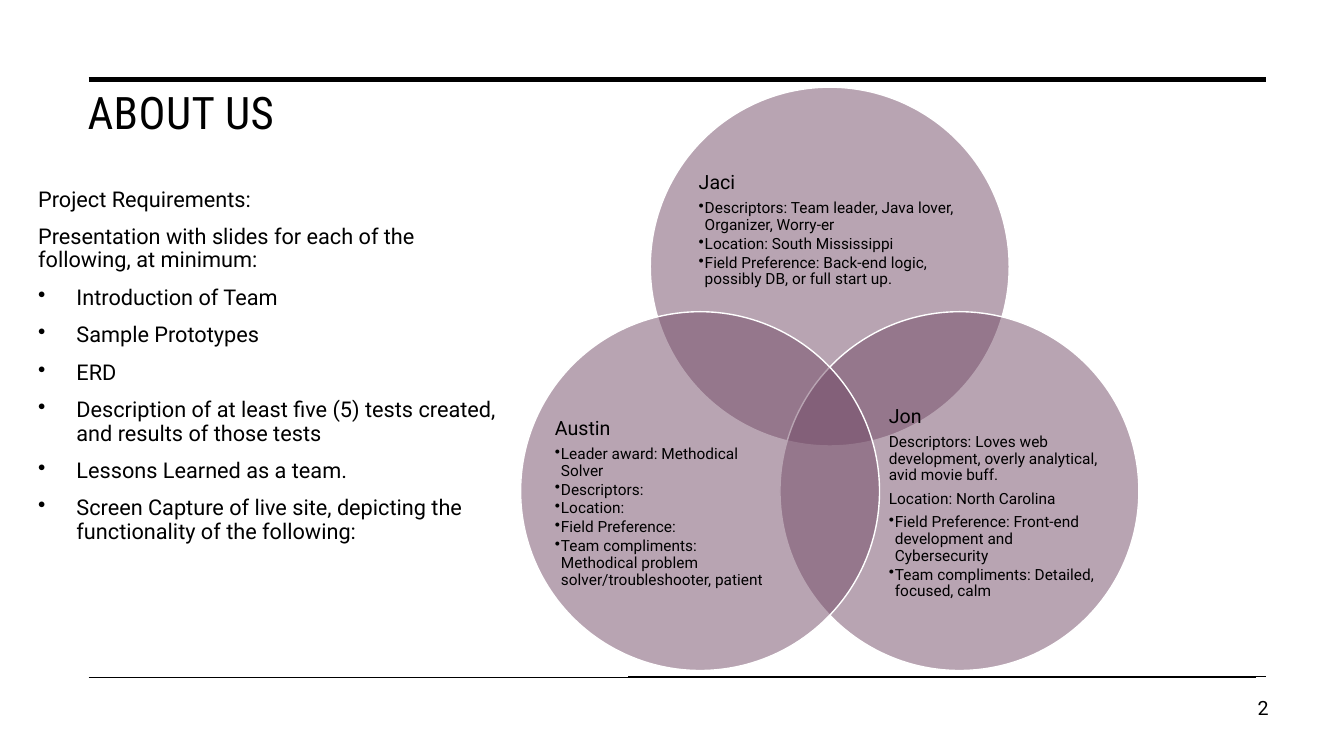
import math

from lxml import etree
from pptx import Presentation
from pptx import util as u
from pptx.dml.color import RGBColor
from pptx.enum import shapes, text
from pptx.oxml.ns import qn

BLACK, WHITE, PLUM = "000000", "FFFFFF", "734B67"
BODY_FONT, TITLE_FONT = "Roboto", "Roboto Condensed"
RULES = [  # left, right, y, weight
    (0.88, 12.46, 0.79, 3.5),
    (0.88, 12.46, 6.72, 1),
    (6.23, 12.56, 0.79, 3.5),
    (6.23, 12.56, 6.71, 1),
]
INTRO = [
    "Project Requirements:",
    "Presentation with slides for each of the following, at minimum:",
]
REQUIREMENTS = [
    "Introduction of Team",
    "Sample Prototypes",
    "ERD",
    "Description of at least five (5) tests created, and results of those tests",
    "Lessons Learned as a team.",
    "Screen Capture of live site, depicting the functionality of the following:",
]
VENN_X, VENN_Y, VENN_REACH, DIAMETER = 8.23, 4.13, 1.485, 3.56
# angle, text box relative to the circle's centre, name, plain lines, bullets
MEMBERS = [
    (-90, (-1.3, -1.16, 2.61, 1.6), "Jaci", [], [
        "Descriptors: Team leader, Java lover, Organizer, Worry-er",
        "Location: South Mississippi",
        "Field Preference: Back-end logic, possibly DB, or full start up.",
    ]),
    (30, (-0.7, -0.86, 2.13, 1.96), "Jon", [
        "Descriptors: Loves web development, overly analytical, avid movie buff.",
        "Location: North Carolina",
    ], [
        "Field Preference: Front-end development and Cybersecurity",
        "Team compliments: Detailed, focused, calm",
    ]),
    (150, (-1.44, -0.86, 2.13, 1.96), "Austin", [], [
        "Leader award: Methodical Solver",
        "Descriptors:",
        "Location:",
        "Field Preference:",
        "Team compliments: Methodical problem solver/troubleshooter, patient",
    ]),
]


def color(value):
    return RGBColor.from_string(value)


def add_rule(page, left, right, y, weight):
    rule = page.shapes.add_connector(
        shapes.MSO_CONNECTOR.STRAIGHT,
        u.Inches(left), u.Inches(y), u.Inches(right), u.Inches(y))
    rule.line.color.rgb = color(BLACK)
    rule.line.width = u.Pt(weight)
    etree.SubElement(rule._element.spPr, qn("a:effectLst"))


def add_text_frame(page, left, top, width, height):
    box = page.shapes.add_textbox(*map(u.Inches, (left, top, width, height)))
    box.text_frame.word_wrap = True
    return box.text_frame


def add_para(frame, words, size, font=BODY_FONT, before=0, after=0,
             line_spacing=1.0, bullet_indent=0):
    """Fill the frame's empty first paragraph, or add another below."""
    para = frame.paragraphs[0] if not frame.text else frame.add_paragraph()
    para.text = words
    para.line_spacing = line_spacing
    para.space_before, para.space_after = u.Pt(before), u.Pt(after)
    if bullet_indent:
        props = para._p.get_or_add_pPr()
        props.set("marL", str(u.Inches(bullet_indent)))
        props.set("indent", str(-u.Inches(bullet_indent)))
        etree.SubElement(props, qn("a:buChar"), char="•")
    para.font.name, para.font.size = font, u.Pt(size)
    para.font.color.rgb = color(BLACK)
    return para


def add_circle(page, x, y):
    circle = page.shapes.add_shape(
        shapes.MSO_SHAPE.OVAL,
        u.Inches(x - DIAMETER / 2), u.Inches(y - DIAMETER / 2),
        u.Inches(DIAMETER), u.Inches(DIAMETER))
    circle.shadow.inherit = False
    circle.fill.solid()
    circle.fill.fore_color.rgb = color(PLUM)
    tint = circle._element.spPr.find(qn("a:solidFill"))[0]
    etree.SubElement(tint, qn("a:alpha"), val="50000")
    circle.line.color.rgb = color(WHITE)
    circle.line.width = u.Pt(1)


def add_member(page, angle, offset, name, plain_lines, bullets):
    x = VENN_X + VENN_REACH * math.cos(math.radians(angle))
    y = VENN_Y + VENN_REACH * math.sin(math.radians(angle))
    add_circle(page, x, y)
    dx, dy, width, height = offset
    frame = add_text_frame(page, x + dx, y + dy, width, height)
    frame.margin_left = frame.margin_right = 0
    frame.margin_top = frame.margin_bottom = 0
    frame.vertical_anchor = text.MSO_ANCHOR.MIDDLE
    add_para(frame, name, 14, after=4.9, line_spacing=0.9)
    for line in plain_lines:
        add_para(frame, line, 11, after=4.9, line_spacing=0.9)
    for line in bullets:
        add_para(frame, line, 11, after=1.65, line_spacing=0.9,
                 bullet_indent=0.06)


def main():
    deck = Presentation()
    deck.slide_width, deck.slide_height = u.Inches(13.33), u.Inches(7.5)
    page = deck.slides.add_slide(deck.slide_layouts[6])

    for rule in RULES:
        add_rule(page, *rule)

    title = add_para(add_text_frame(page, 0.77, 0.79, 3.83, 5.81),
                     "ABOUT US", 32, TITLE_FONT)
    title.runs[0].font._element.set("spc", "30")

    body = add_text_frame(page, 0.28, 1.82, 4.82, 3.77)
    for line in INTRO:
        add_para(body, line, 15.5, before=10, line_spacing=0.9)
    for line in REQUIREMENTS:
        add_para(body, line, 15.5, before=10, line_spacing=0.9,
                 bullet_indent=0.38)

    number = add_para(add_text_frame(page, 11.94, 6.86, 0.74, 0.64), "2", 14)
    number.alignment = text.PP_ALIGN.RIGHT

    for member in MEMBERS:
        add_member(page, *member)

    deck.save("out.pptx")


if __name__ == "__main__":
    main()
